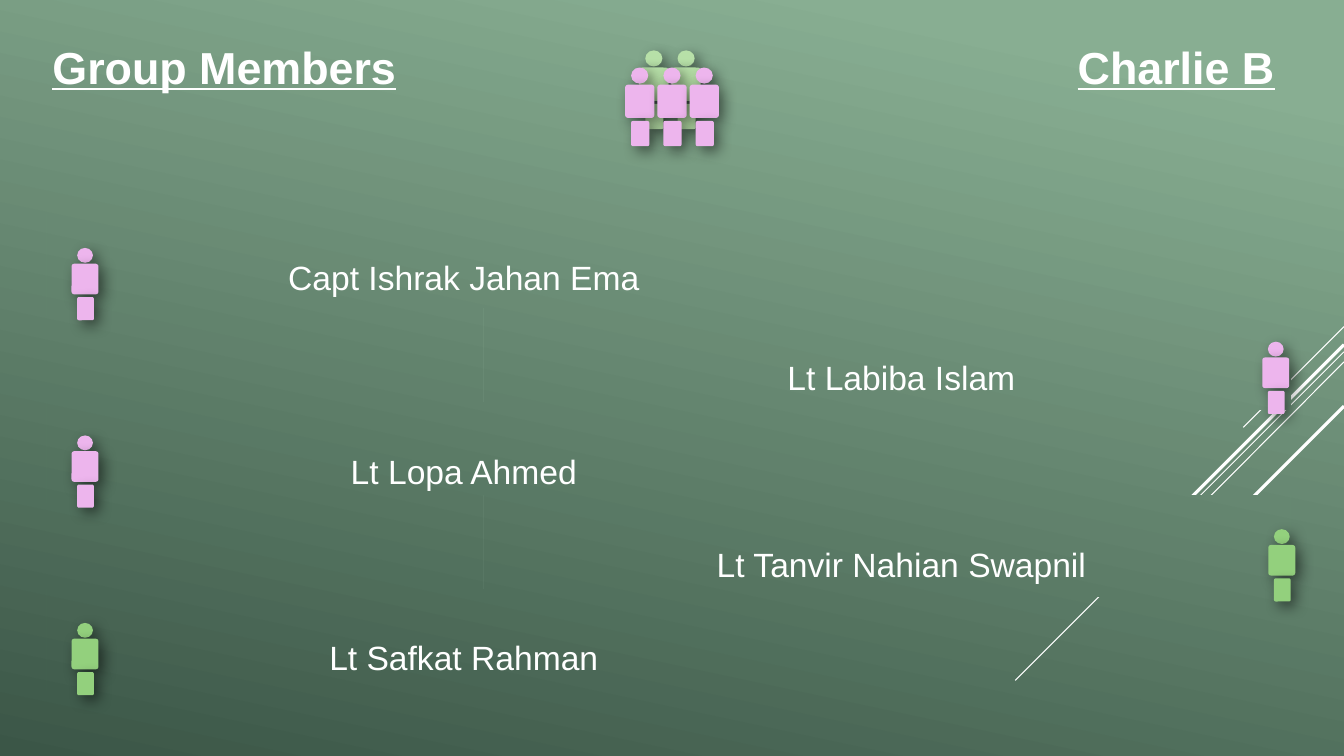
import pptx
import pptx.util
import pptx.dml.color
import pptx.enum.shapes
import pptx.enum.text
import pptx.oxml.ns
import lxml.etree

Inches = pptx.util.Inches
Pt = pptx.util.Pt
RGBColor = pptx.dml.color.RGBColor
Kind = pptx.enum.shapes.MSO_SHAPE
Align = pptx.enum.text.PP_ALIGN
qn = pptx.oxml.ns.qn

WHITE = RGBColor(0xFF, 0xFF, 0xFF)
BLACK = RGBColor(0x00, 0x00, 0x00)
SAGE = RGBColor(0x88, 0xAE, 0x92)
PINE = RGBColor(0x3B, 0x56, 0x47)
PINK = RGBColor(0xED, 0xB5, 0xED)
GREEN = RGBColor(0x93, 0xD0, 0x7D)
PALE = RGBColor(0xB7, 0xE0, 0xA8)

WIDTH = 13.33
PITCH = 0.93
BAND_W, BAND_H = 8.38, 1.28
LEFT, RIGHT = 0.41, 4.75
SMALL = 0.92

STREAKS = [
    (3.24, 12.33, 4.24, 0.75),
    (3.49, 10.07, 6.75, 0.75),
    (3.59, 11.26, 5.67, 0.75),
    (3.42, 11.42, 5.33, 2.25),
    (4.03, 11.94, 5.42, 2.25),
]
MEMBERS = [
    ("Capt Ishrak Jahan Ema", LEFT, 2.5, 0.71, PINK),
    ("Lt Labiba Islam", RIGHT, 3.49, 12.52, PINK),
    ("Lt Lopa Ahmed", LEFT, 4.42, 0.71, PINK),
    ("Lt Tanvir Nahian Swapnil", RIGHT, 5.35, 12.58, GREEN),
    ("Lt Safkat Rahman", LEFT, 6.27, 0.71, GREEN),
]
BODY = [
    (Kind.OVAL, 0.06, 0, 0.17, 0.16),
    (Kind.ROUNDED_RECTANGLE, 0, 0.17, 0.29, 0.33),
    (Kind.ROUNDED_RECTANGLE, 0.06, 0.53, 0.18, 0.25),
]


def paint(slide):
    fill = slide.background.fill
    fill.gradient()
    fill.gradient_angle = 360 - 102
    for stop, color, place in zip(fill.gradient_stops, (SAGE, PINE), (0.1, 1)):
        stop.color.rgb = color
        stop.position = place


def shade(shape, alpha, blur, dist, angle):
    shape.shadow.inherit = False
    effects = shape.element.spPr.find(qn("a:effectLst"))
    outer = lxml.etree.SubElement(
        effects, qn("a:outerShdw"), blurRad=str(Pt(blur)), dist=str(Pt(dist)),
        dir=str(angle * 60000), algn="ctr", rotWithShape="0")
    color = lxml.etree.SubElement(outer, qn("a:srgbClr"), val=str(BLACK))
    lxml.etree.SubElement(color, qn("a:alpha"), val=str(alpha * 1000))


def streak(slide, top, x, y, weight):
    line = slide.shapes.add_connector(
        pptx.enum.shapes.MSO_CONNECTOR.STRAIGHT,
        Inches(WIDTH), Inches(top), Inches(x), Inches(y))
    line.line.color.rgb = WHITE
    line.line.width = Pt(weight)
    lxml.etree.SubElement(line.element.spPr, qn("a:effectLst"))


def band(slide, left, top):
    inset = 0.38
    form = slide.shapes.build_freeform(0, BAND_W, scale=float(Inches(1)))
    form.add_line_segments(
        [(inset, 0), (BAND_H - inset, 0), (BAND_H, BAND_W)], close=True)
    shift = (BAND_W - BAND_H) / 2
    shape = form.convert_to_shape(Inches(left + shift), Inches(top - shift))
    shape.rotation = 90 if left == LEFT else 270
    shape.line.fill.background()
    shape.element.set("useBgFill", "1")
    shade(shape, 40, 5, 0, 0)


def write(box, text, size, align, bold=False):
    frame = box.text_frame
    frame.word_wrap = True
    frame.vertical_anchor = pptx.enum.text.MSO_ANCHOR.TOP
    frame.auto_size = pptx.enum.text.MSO_AUTO_SIZE.SHAPE_TO_FIT_TEXT
    para = frame.paragraphs[0]
    para.alignment = align
    run = para.add_run()
    run.text = text
    font = run.font
    font.name = "Arial"
    font.size = Pt(size)
    font.color.rgb = WHITE
    font.bold = bold
    font.underline = bold


def label(slide, text, left, top, width, height, size, align, bold=False):
    box = slide.shapes.add_textbox(
        Inches(left), Inches(top), Inches(width), Inches(height))
    write(box, text, size, align, bold)


def title(slide, text):
    box = slide.shapes.title
    box.left, box.top = Inches(0.42), Inches(0.34)
    box.width, box.height = Inches(4.25), Inches(0.64)
    write(box, text, 32, Align.LEFT, True)


def person(slide, left, top, color, scale=1):
    group = slide.shapes.add_group_shape()
    for kind, x, y, w, h in BODY:
        part = group.shapes.add_shape(
            kind, Inches(left + x * scale), Inches(top + y * scale),
            Inches(w * scale), Inches(h * scale))
        if kind == Kind.ROUNDED_RECTANGLE:
            part.adjustments[0] = 0.1
        part.fill.solid()
        part.fill.fore_color.rgb = color
        part.line.fill.background()
        shade(part, 50, 10, 5, 45)


def main():
    deck = pptx.Presentation()
    deck.slide_width, deck.slide_height = Inches(WIDTH), Inches(7.5)
    slide = deck.slides.add_slide(deck.slide_layouts[5])
    paint(slide)
    for item in STREAKS:
        streak(slide, *item)
    for row, (name, left, top, x, color) in enumerate(MEMBERS):
        start = 2.18 + row * PITCH
        band(slide, left, start)
        label(slide, name, left, top, BAND_W, 0.5, 24, Align.CENTER)
        person(slide, x, start + 0.28, color, SMALL)
    title(slide, "Group Members")
    label(slide, "Charlie B", 8.49, 0.34, 4.25, 0.64, 32, Align.RIGHT, True)
    for count, left, top, color in ((2, 6.34, 0.5, PALE), (3, 6.2, 0.67, PINK)):
        for col in range(count):
            person(slide, left + col * 0.32, top, color)
    deck.save("out.pptx")


main()
